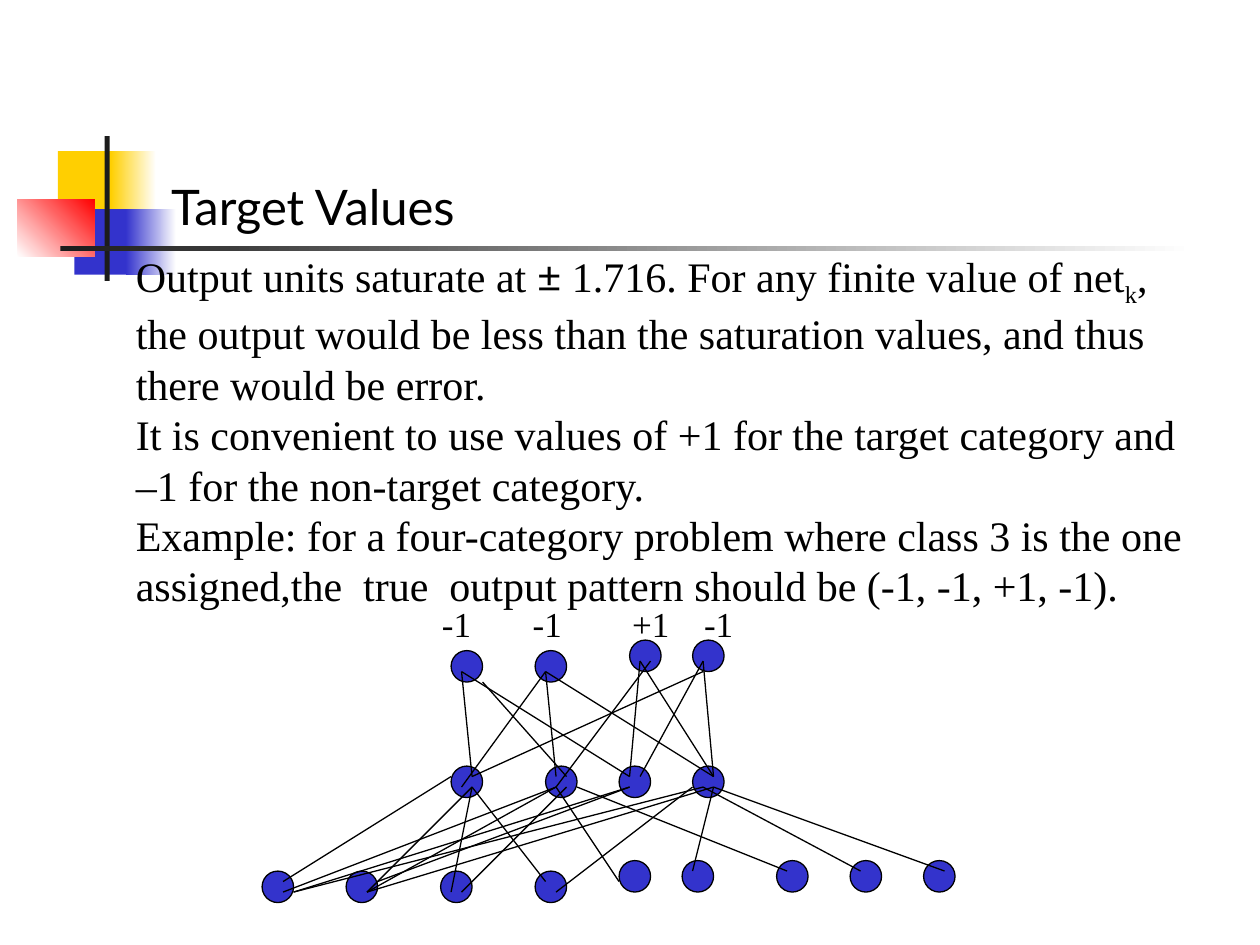
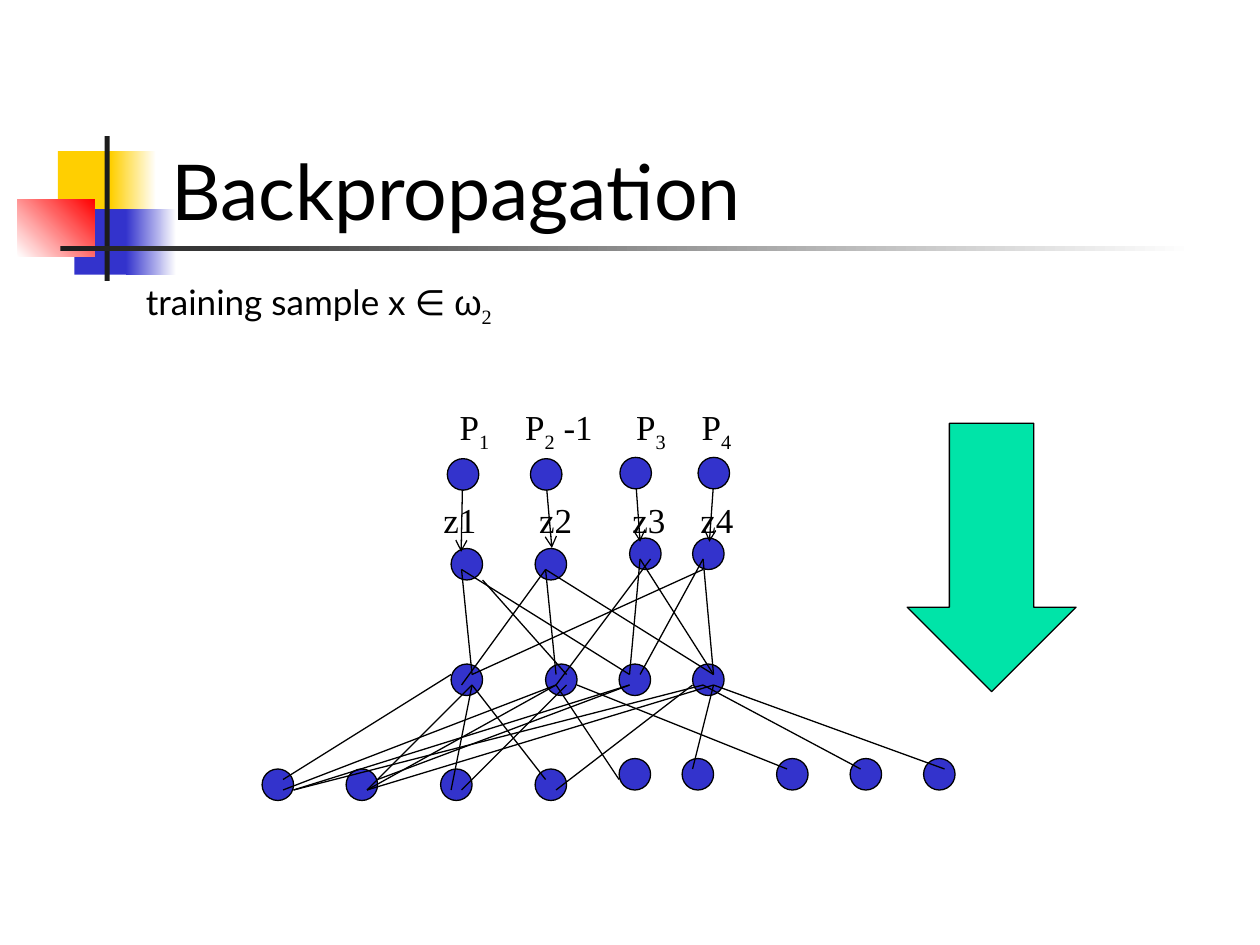
from dataclasses import dataclass

from lxml.etree import SubElement
from pptx import Presentation
from pptx.dml.color import RGBColor
from pptx.enum.shapes import MSO_CONNECTOR, MSO_SHAPE
from pptx.enum.text import MSO_ANCHOR, PP_ALIGN
from pptx.oxml.ns import qn
from pptx.util import Inches, Pt


@dataclass(frozen=True)
class Theme:
    yellow: str = "FFCF01"
    blue: str = "3333CC"
    red: str = "FF0000"
    green: str = "00E4A8"
    dark: str = "1C1C1C"
    black: str = "000000"
    white: str = "FFFFFF"
    sans: str = "Lato"
    serif: str = "Times New Roman"
    greek: str = "Arial"
    title_size: int = 44
    small_title_size: int = 28
    body_size: int = 24
    label_size: int = 20
    line_width: float = 0.75


THEME = Theme()


@dataclass(frozen=True)
class TextPart:
    text: str
    font: str = THEME.serif
    subscript: bool = False


def sub(text):
    return TextPart(text, subscript=True)


NODE_SIZE = 0.25
GRID = 1 / 12  # the network is laid out in twelfths of an inch

# Node corners (x, y) in grid steps from the network's top left corner
OUTPUT_NODES = [(18, 1), (26, 1), (35, 0), (41, 0)]
HIDDEN_NODES = [(x, 12) for x in (18, 27, 34, 41)]
INPUT_NODES = ([(x, 22) for x in (0, 8, 17, 26)]
               + [(x, 21) for x in (34, 40, 49, 56, 63)])

# Links (x1, y1, x2, y2) in the same grid steps
INPUT_LINKS = [
    (2, 23, 18, 13), (2, 24, 28, 14), (3, 24, 35, 14), (3, 24, 42, 14),
    (10, 24, 20, 14), (10, 24, 28, 14), (11, 23, 35, 14), (10, 24, 43, 14),
    (18, 24, 20, 14), (19, 24, 29, 14), (27, 23, 20, 14), (28, 24, 41, 14),
    (34, 23, 28, 14), (50, 22, 30, 14), (57, 22, 42, 14), (65, 22, 43, 14),
    (41, 22, 43, 14),
]
OUTPUT_LINKS = [
    (20, 13, 42, 3), (28, 14, 37, 2), (29, 13, 21, 4), (43, 13, 42, 2),
    (43, 13, 27, 3), (35, 13, 19, 3), (19, 3, 20, 13), (27, 3, 28, 13),
    (27, 3, 19, 14), (36, 2, 35, 13), (36, 2, 43, 13), (42, 2, 36, 13),
]

# Target nodes (x, y) and arrows (x1, y1, x2, y2) in inches from their box
TARGET_NODES = [(0, 0.01), (0.66, 0.01), (1.37, 0), (1.99, 0)]
TARGET_ARROWS = [
    (0.12, 0.26, 0.11, 0.75), (0.79, 0.26, 0.83, 0.72),
    (1.5, 0.25, 1.53, 0.67), (2.11, 0.25, 2.08, 0.67),
]


def color(value):
    return RGBColor.from_string(value)


def add_shape(slide, kind, box, fill, outlined=False):
    shape = slide.shapes.add_shape(kind, *map(Inches, box))
    shape.shadow.inherit = False
    shape.fill.solid()
    shape.fill.fore_color.rgb = color(fill)
    if outlined:
        shape.line.color.rgb = color(THEME.black)
        shape.line.width = Pt(THEME.line_width)
    else:
        shape.line.fill.background()
    return shape


def add_gradient(slide, box, start, end, angle=0):
    fill = add_shape(slide, MSO_SHAPE.RECTANGLE, box, start).fill
    fill.gradient()
    fill.gradient_angle = angle
    for stop, value, position in zip(fill.gradient_stops, (start, end), (0, 1)):
        stop.color.rgb = color(value)
        stop.position = position


def add_node(slide, left, top):
    add_shape(slide, MSO_SHAPE.OVAL, (left, top, NODE_SIZE, NODE_SIZE),
              THEME.blue, outlined=True)


def add_line(slide, ends, arrow=False):
    connector = slide.shapes.add_connector(MSO_CONNECTOR.STRAIGHT, *map(Inches, ends))
    connector.line.color.rgb = color(THEME.black)
    connector.line.width = Pt(THEME.line_width)
    if arrow:
        SubElement(connector.line._get_or_add_ln(), qn("a:tailEnd"), type="arrow")
    SubElement(connector._element.spPr, qn("a:effectLst"))


def add_text(slide, box, paragraphs, size, tabs=(), anchor=MSO_ANCHOR.TOP):
    """Each paragraph is a list of text parts; tabs are inches from the text edge."""
    frame = slide.shapes.add_textbox(*map(Inches, box)).text_frame
    frame.word_wrap = True
    frame.vertical_anchor = anchor
    for index, parts in enumerate(paragraphs):
        paragraph = frame.add_paragraph() if index else frame.paragraphs[0]
        paragraph.alignment = PP_ALIGN.LEFT
        if tabs:
            tab_list = SubElement(paragraph._p.get_or_add_pPr(), qn("a:tabLst"))
            for tab in tabs:
                SubElement(tab_list, qn("a:tab"), pos=str(Inches(tab)), algn="l")
        for part in parts:
            run = paragraph.add_run()
            run.text = part.text
            run.font.name = part.font
            run.font.size = Pt(size)
            run.font.color.rgb = color(THEME.black)
            if part.subscript:
                run._r.get_or_add_rPr().set("baseline", "-25000")


def add_labels(slide, left, top, parts, tabs):
    add_text(slide, (left, top, 2.6, 0.48), [parts], THEME.label_size, tabs)


def add_decoration(slide, left, top):
    """Coloured squares and crossed rules beside the title."""
    def place(x, y, width, height):
        return left + x, top + y, width, height

    square = MSO_SHAPE.RECTANGLE
    add_shape(slide, square, place(0.32, 0.12, 0.48, 0.52), THEME.yellow)
    add_gradient(slide, place(0.74, 0.12, 0.36, 0.52), THEME.yellow, THEME.white)
    add_shape(slide, square, place(0.45, 0.58, 0.46, 0.52), THEME.blue)
    add_gradient(slide, place(0.86, 0.58, 0.4, 0.52), THEME.blue, THEME.white)
    add_gradient(slide, place(0, 0.5, 0.61, 0.46), THEME.white, THEME.red, angle=45)
    add_shape(slide, square, place(0.69, 0, 0.04, 1.15), THEME.dark)
    add_gradient(slide, place(0.34, 0.87, 9, 0.04), THEME.dark, THEME.white)


def add_titled_slide(presentation, title, size):
    slide = presentation.slides.add_slide(presentation.slide_layouts[6])
    add_decoration(slide, 0.14, 1.08)
    add_text(slide, (1.26, 0.67, 8.52, 1.25), [[TextPart(title, THEME.sans)]],
             size, anchor=MSO_ANCHOR.BOTTOM)
    return slide


def add_network(slide, left, top):
    for x, y in INPUT_NODES + HIDDEN_NODES + OUTPUT_NODES:
        add_node(slide, left + x * GRID, top + y * GRID)
    for x1, y1, x2, y2 in INPUT_LINKS + OUTPUT_LINKS:
        add_line(slide, (left + x1 * GRID, top + y1 * GRID,
                         left + x2 * GRID, top + y2 * GRID))


def add_targets(slide, left, top):
    """Row of target nodes with arrows down to the output layer."""
    for x, y in TARGET_NODES:
        add_node(slide, left + x, top + y)
    for x1, y1, x2, y2 in TARGET_ARROWS:
        add_line(slide, (left + x1, top + y1, left + x2, top + y2), arrow=True)


def build_target_values(presentation):
    slide = add_titled_slide(presentation, "Target Values", THEME.small_title_size)
    add_text(slide, (0.98, 1.94, 8.67, 2.96), [
        [TextPart("Output units saturate at "), TextPart("±", THEME.sans),
         TextPart(" 1.716. For any finite value of net"), sub("k"),
         TextPart(", the output would be less than the saturation values, "
                  "and thus there would be error.")],
        [TextPart("It is convenient to use values of +1 for the target category "
                  "and –1 for the non-target category.")],
        [TextPart("Example: for a four-category problem where class 3 is the one "
                  "assigned,the  true  output pattern should be (-1, -1, +1, -1).")],
    ], THEME.body_size)
    add_network(slide, 2.08, 5.08)
    add_labels(slide, 3.41, 4.73, [TextPart("-1\t-1\t+1\t-1")], (0.72, 1.51, 2.08))


def build_backpropagation(presentation):
    slide = add_titled_slide(presentation, "Backpropagation", THEME.title_size)
    add_network(slide, 2.08, 4.27)
    add_labels(slide, 3.42, 3.91, [TextPart("z1\tz2\tz3\tz4")], (0.76, 1.5, 2.04))
    add_labels(slide, 3.55, 3.17, [
        TextPart("P"), sub("1"), TextPart("\tP"), sub("2"), TextPart(" -1\tP"),
        sub("3"), TextPart("\tP"), sub("4"),
    ], (0.52, 1.4, 1.92))
    add_text(slide, (1.06, 2.18, 4.73, 0.48), [
        [TextPart("training sample x ∈ ", THEME.sans),
         TextPart("ω", THEME.greek), sub("2")],
    ], THEME.label_size)
    add_targets(slide, 3.55, 3.63)
    add_shape(slide, MSO_SHAPE.DOWN_ARROW, (7.2, 3.36, 1.34, 2.13),
              THEME.green, outlined=True)


def main():
    presentation = Presentation()
    presentation.slide_width = Inches(10)
    presentation.slide_height = Inches(7.5)
    build_target_values(presentation)
    build_backpropagation(presentation)
    presentation.save("out.pptx")


if __name__ == "__main__":
    main()
